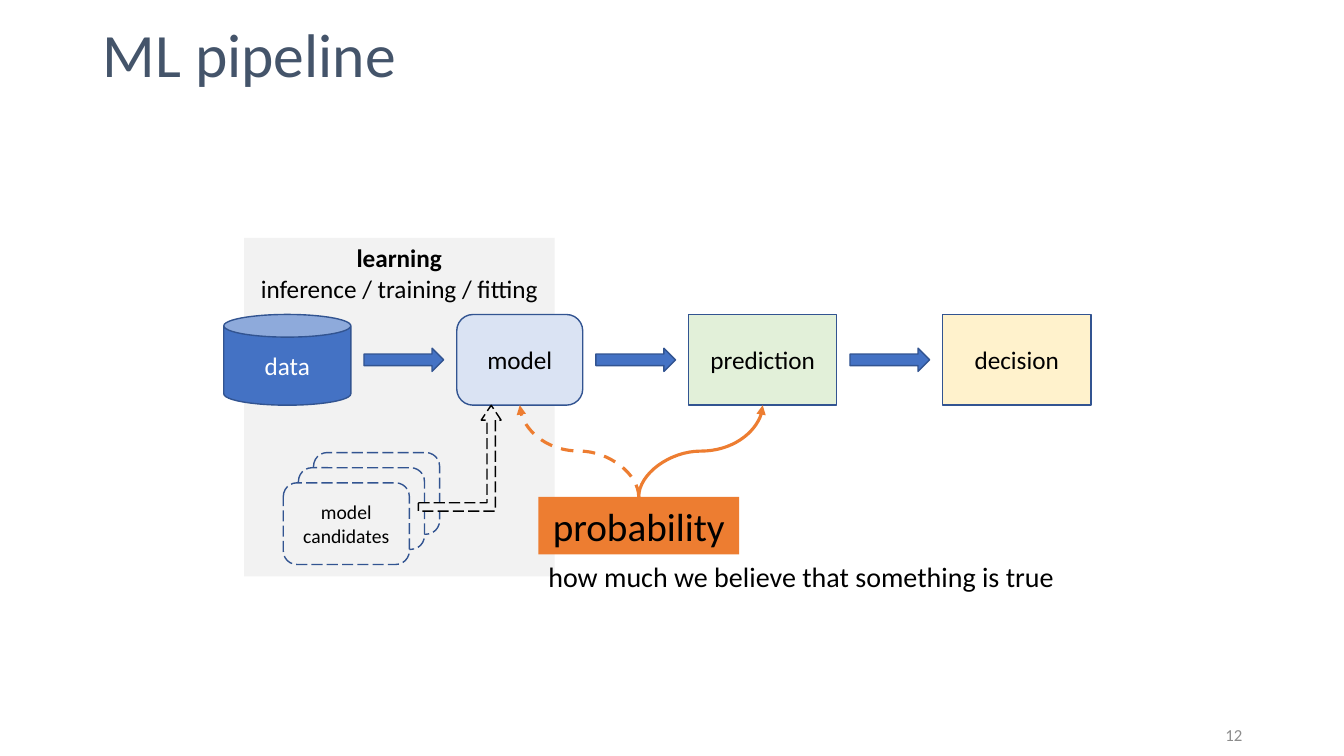
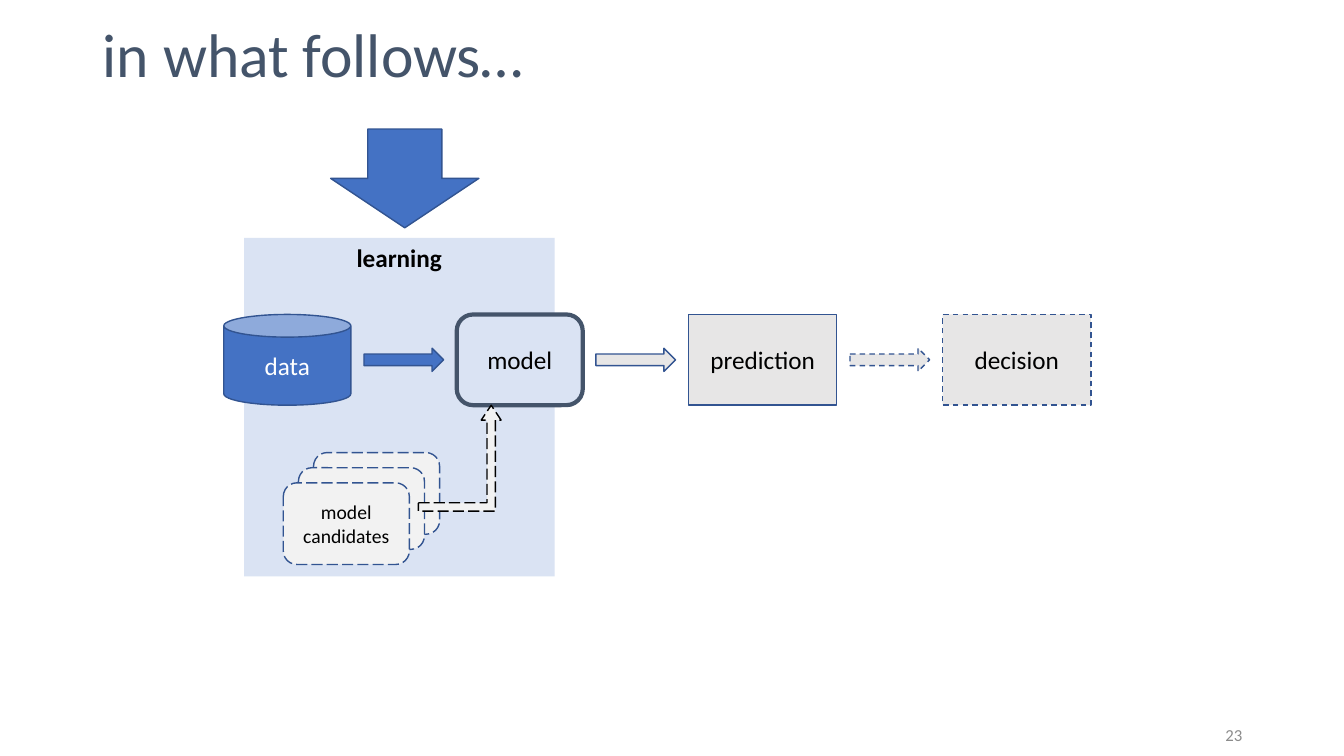
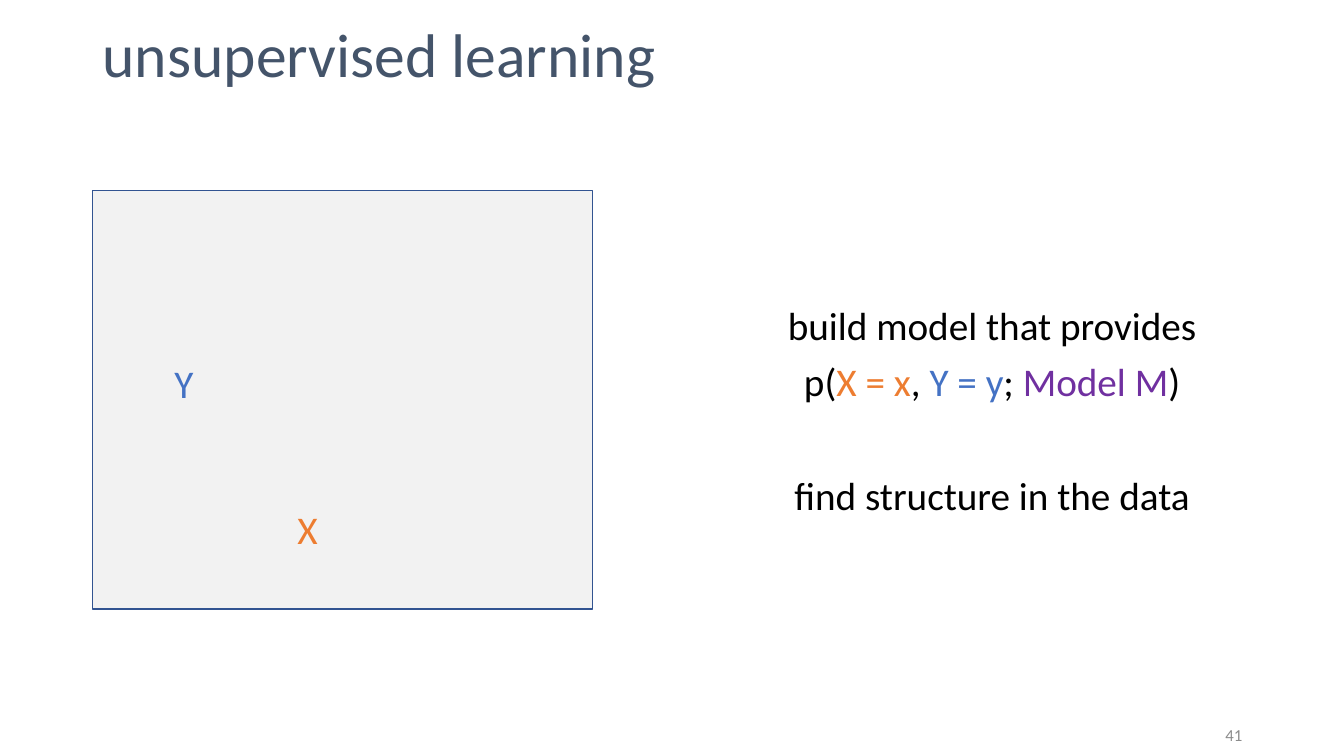
import pptx
import pptx.dml.color
import pptx.enum.dml
import pptx.enum.shapes
import pptx.enum.text
import pptx.oxml
import pptx.oxml.ns
import pptx.util

RGB = pptx.dml.color.RGBColor
SHAPE = pptx.enum.shapes.MSO_SHAPE
DASH = pptx.enum.dml.MSO_LINE.DASH
LONG_DASH = pptx.enum.dml.MSO_LINE.LONG_DASH
ALIGN = pptx.enum.text.PP_ALIGN
ANCHOR = pptx.enum.text.MSO_ANCHOR
Inches = pptx.util.Inches
Pt = pptx.util.Pt

FONT = "Calibri"
SLATE = RGB(0x44, 0x54, 0x6A)
BLUE = RGB(0x44, 0x72, 0xC4)
DARK_BLUE = RGB(0x32, 0x54, 0x91)
PALE_BLUE = RGB(0xDA, 0xE3, 0xF3)
ORANGE = RGB(0xED, 0x7D, 0x31)
PURPLE = RGB(0x70, 0x30, 0xA0)
PALE_GREEN = RGB(0xE2, 0xF0, 0xD9)
PALE_YELLOW = RGB(0xFF, 0xF2, 0xCC)
PALE_GREY = RGB(0xF2, 0xF2, 0xF2)
GREY = RGB(0xE7, 0xE6, 0xE6)
NUMBER_GREY = RGB(0x8C, 0x8C, 0x8C)
BLACK = RGB(0, 0, 0)
WHITE = RGB(0xFF, 0xFF, 0xFF)

SLIDE_W, SLIDE_H = 13.33, 7.5
LEFT, RIGHT = 0.92, 12.42

# Pipeline row: stages separated by a gap that holds an arrow
ROW_LEFT, ROW_TOP, ROW_H = 2.22, 3.12, 0.9
ROW_BOTTOM = ROW_TOP + ROW_H
STAGE_WIDTHS = (1.26, 1.25, 1.47, 1.47)
STAGE_GAP, ARROW_PAD, ARROW_H = 1.05, 0.13, 0.23
STAGE_LEFTS = [ROW_LEFT + sum(STAGE_WIDTHS[:i]) + i * STAGE_GAP for i in range(4)]
STACK_STEP = 0.15
PROBABILITY = (5.34, 4.93, 1.99, 0.57)


def format_runs(paragraph, size, color):
    for run in paragraph.runs:
        run.font.name = FONT
        run.font.size = Pt(size)
        run.font.color.rgb = color


def write(shape, text, size, color=BLACK, align=ALIGN.CENTER, anchor=ANCHOR.MIDDLE, wrap=True):
    frame = shape.text_frame
    frame.text = text
    frame.word_wrap = wrap
    frame.vertical_anchor = anchor
    for paragraph in frame.paragraphs:
        paragraph.alignment = align
        format_runs(paragraph, size, color)
    return frame


def add_text(slide, at, text, size, **style):
    box = slide.shapes.add_textbox(*map(Inches, at))
    return write(box, text, size, **style)


def add_figure(slide, geometry, at, fill, line=DARK_BLUE, width=1, dash=None, adjust=()):
    """Add a preset shape; line=None leaves out the outline."""
    shape = slide.shapes.add_shape(geometry, *map(Inches, at))
    shape.shadow.inherit = False
    shape.fill.solid()
    shape.fill.fore_color.rgb = fill
    if line is None:
        shape.line.fill.background()
    else:
        shape.line.color.rgb = line
        shape.line.width = Pt(width)
        if dash:
            shape.line.dash_style = dash
    for i, value in enumerate(adjust):
        shape.adjustments[i] = value
    return shape


def add_rising_curve(slide, start, end, dash=None):
    """Draw an S curve that leaves and arrives vertically, with an arrowhead at its end."""
    center_x, center_y = (start[0] + end[0]) / 2, (start[1] + end[1]) / 2
    dx, dy = start[0] - center_x, start[1] - center_y
    # End points before the quarter turn to the left
    points = (center_x - dy, center_y + dx, center_x + dy, center_y - dx)
    curve = slide.shapes.add_connector(
        pptx.enum.shapes.MSO_CONNECTOR.CURVE, *map(Inches, points))
    curve.line.color.rgb = ORANGE
    curve.line.width = Pt(2.25)
    if dash:
        curve.line.dash_style = dash
    properties = curve.element.spPr
    properties.find(pptx.oxml.ns.qn("a:xfrm")).set("rot", str(270 * 60000))
    namespace = pptx.oxml.ns.nsdecls("a")
    curve.line._get_or_add_ln().append(
        pptx.oxml.parse_xml(f'<a:tailEnd {namespace} type="triangle"/>'))
    properties.append(pptx.oxml.parse_xml(f"<a:effectLst {namespace}/>"))


def new_slide(deck, title, number):
    slide = deck.slides.add_slide(deck.slide_layouts[6])
    heading = add_text(slide, (LEFT, 0.02, RIGHT - LEFT, 1.11), title, 44,
                       color=SLATE, align=ALIGN.LEFT)
    heading.paragraphs[0].line_spacing = 0.9
    add_text(slide, (RIGHT - 3, 7.09, 3, 0.4), str(number), 12,
             color=NUMBER_GREY, align=ALIGN.RIGHT)
    return slide


def add_learning_panel(slide, text, fill):
    panel = add_figure(slide, SHAPE.RECTANGLE, (2.42, 2.36, 3.08, 3.36), fill, line=None)
    frame = write(panel, text, 18, anchor=ANCHOR.TOP)
    frame.paragraphs[0].runs[0].font.bold = True


def add_stages(slide, styles):
    stages = (
        ("data", SHAPE.CAN, WHITE, ()),
        ("model", SHAPE.ROUNDED_RECTANGLE, BLACK, (0.18,)),
        ("prediction", SHAPE.RECTANGLE, BLACK, ()),
        ("decision", SHAPE.RECTANGLE, BLACK, ()),
    )
    for (name, geometry, color, adjust), left, width, style in zip(
            stages, STAGE_LEFTS, STAGE_WIDTHS, styles):
        stage = add_figure(slide, geometry, (left, ROW_TOP, width, ROW_H),
                           adjust=adjust, **style)
        write(stage, name, 18, color)


def add_stage_arrows(slide, styles):
    top = ROW_TOP + (ROW_H - ARROW_H) / 2
    for left, width, style in zip(STAGE_LEFTS, STAGE_WIDTHS, styles):
        at = (left + width + ARROW_PAD, top, STAGE_GAP - 2 * ARROW_PAD, ARROW_H)
        add_figure(slide, SHAPE.RIGHT_ARROW, at, **style)


def add_candidates(slide):
    for depth in (2, 1, 0):
        at = (2.81 + depth * STACK_STEP, 4.79 - depth * STACK_STEP, 1.25, 0.81)
        card = add_figure(slide, SHAPE.ROUNDED_RECTANGLE, at, PALE_GREY, dash=LONG_DASH)
    write(card, "model candidates", 14)
    add_figure(slide, SHAPE.BENT_UP_ARROW, (4.15, ROW_BOTTOM, 0.82, 1.05), PALE_GREY,
               line=BLACK, dash=LONG_DASH, adjust=(0.1, 0.12, 0.18))


def add_pipeline(slide, panel_text, panel_fill, stage_styles, arrow_styles):
    add_learning_panel(slide, panel_text, panel_fill)
    add_stages(slide, stage_styles)
    add_stage_arrows(slide, arrow_styles)
    add_candidates(slide)


def add_probability(slide):
    left, top, width, height = PROBABILITY
    box = add_figure(slide, SHAPE.RECTANGLE, PROBABILITY, ORANGE, line=None)
    write(box, "probability", 28, anchor=ANCHOR.TOP)
    start = (left + width / 2, top)
    add_rising_curve(slide, start, (STAGE_LEFTS[2] + STAGE_WIDTHS[2] / 2, ROW_BOTTOM))
    add_rising_curve(slide, start, (STAGE_LEFTS[1] + STAGE_WIDTHS[1] / 2, ROW_BOTTOM), DASH)
    add_text(slide, (left, top + height, 5.73, 0.44),
             "how much we believe that something is true", 20,
             align=ALIGN.LEFT, anchor=ANCHOR.TOP)


def add_variable(slide, name, at, color):
    label = add_figure(slide, SHAPE.RECTANGLE, at, PALE_GREY, line=None)
    write(label, name, 28, color, ALIGN.LEFT, ANCHOR.TOP, wrap=False)


def add_model_goal(slide):
    frame = add_text(slide, (RIGHT - 5.16, 1.26, 5.16, 5.67),
                     "build model that provides\n\nfind structure in the data", 28)
    formula = frame.paragraphs[1]
    for text, color in (("p(", BLACK), ("X = x", ORANGE), (", ", BLACK), ("Y = y", BLUE),
                        ("; ", BLACK), ("Model M", PURPLE), (")", BLACK)):
        run = formula.add_run()
        run.text = text
        run.font.name = FONT
        run.font.size = Pt(28)
        run.font.color.rgb = color
    for paragraph, space in zip(frame.paragraphs, (0, 10, 51)):
        paragraph.line_spacing = 0.9
        paragraph.space_before = Pt(space)


def build_ml_pipeline(deck):
    slide = new_slide(deck, "ML pipeline", 12)
    fills = (BLUE, PALE_BLUE, PALE_GREEN, PALE_YELLOW)
    add_pipeline(slide, "learning\ninference / training / fitting", PALE_GREY,
                 [{"fill": fill} for fill in fills], [{"fill": BLUE}] * 3)
    add_probability(slide)


def build_what_follows(deck):
    slide = new_slide(deck, "in what follows…", 23)
    active, later, optional = {"fill": BLUE}, {"fill": GREY}, {"fill": GREY, "dash": DASH}
    focus = {"fill": PALE_BLUE, "line": SLATE, "width": 3}
    add_pipeline(slide, "learning", PALE_BLUE,
                 (active, focus, later, optional), (active, later, optional))
    add_figure(slide, SHAPE.DOWN_ARROW, (3.28, 1.28, 1.47, 0.98), BLUE)


def build_unsupervised_learning(deck):
    slide = new_slide(deck, "unsupervised learning", 41)
    add_model_goal(slide)
    add_figure(slide, SHAPE.RECTANGLE, (LEFT, 1.89, 4.96, 4.15), PALE_GREY)
    add_variable(slide, "X", (2.85, 4.96, 0.41, 0.57), ORANGE)
    add_variable(slide, "Y", (1.63, 3.52, 0.39, 0.57), BLUE)


def main():
    deck = pptx.Presentation()
    deck.slide_width, deck.slide_height = Inches(SLIDE_W), Inches(SLIDE_H)
    build_ml_pipeline(deck)
    build_what_follows(deck)
    build_unsupervised_learning(deck)
    deck.save("out.pptx")


if __name__ == "__main__":
    main()
